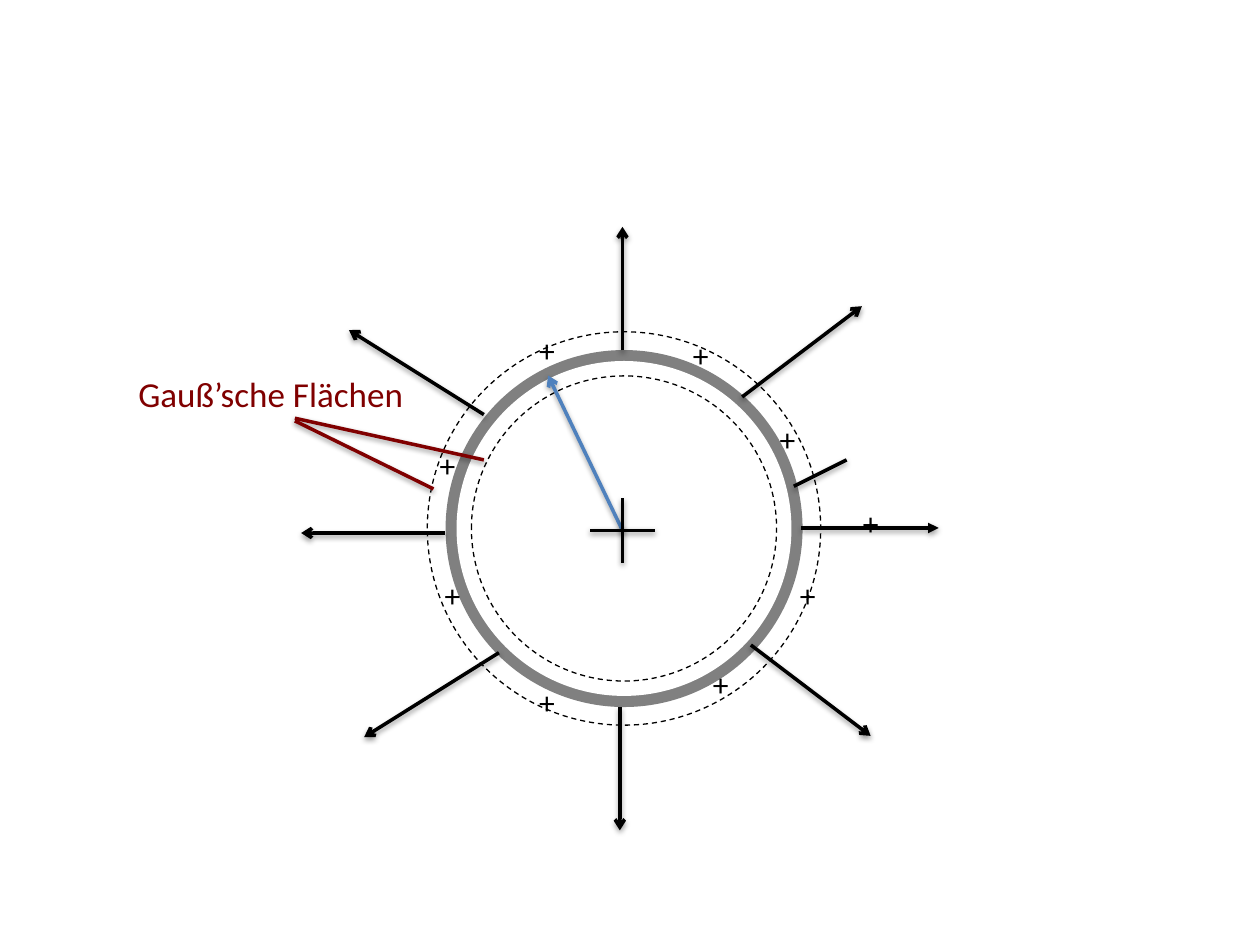
import pptx
import pptx.dml.color
import pptx.enum.dml
import pptx.enum.shapes
import pptx.enum.text
import pptx.oxml
import pptx.oxml.ns
import pptx.util
from pptx.util import Pt

COLORS = {"black": "000000", "white": "FFFFFF", "shell": "808080",
          "label": "800000", "radius": "4F81BD"}
COLORS = {name: pptx.dml.color.RGBColor.from_string(value) for name, value in COLORS.items()}

deck = pptx.Presentation()
deck.slide_width, deck.slide_height = Pt(720), Pt(540)
page = deck.slides.add_slide(deck.slide_layouts[6])


def add_line(start, end, color="black", head=None):
    line = page.shapes.add_connector(
        pptx.enum.shapes.MSO_CONNECTOR.STRAIGHT, *[Pt(value) for value in start + end])
    line.line.color.rgb = COLORS[color]
    line.line.width = Pt(2)
    if head:
        arrow = pptx.oxml.parse_xml(
            f'<a:tailEnd {pptx.oxml.ns.nsdecls("a")} type="{head}"/>')
        line.line._get_or_add_ln().append(arrow)
    shadow = pptx.oxml.parse_xml(
        f'<a:effectLst {pptx.oxml.ns.nsdecls("a")}>'
        '<a:outerShdw blurRad="40000" dist="20000" dir="5400000" rotWithShape="0">'
        '<a:srgbClr val="000000"><a:alpha val="38000"/></a:srgbClr>'
        '</a:outerShdw></a:effectLst>')
    line._element.spPr.append(shadow)


def add_text(left, top, width, height, text, size, color):
    box = page.shapes.add_textbox(Pt(left), Pt(top), Pt(width), Pt(height))
    box.text_frame.word_wrap = False
    box.text_frame.auto_size = pptx.enum.text.MSO_AUTO_SIZE.SHAPE_TO_FIT_TEXT
    para = box.text_frame.paragraphs[0]
    span = para.add_run()
    span.text = text
    span.font.name = "Calibri"
    span.font.size = Pt(size)
    span.font.color.rgb = COLORS[color]


center_x, center_y = 356.6, 302
for radius, fill in [(102, "shell"), (95.7, "white"), (112.4, None), (87.2, None)]:
    circle = page.shapes.add_shape(
        pptx.enum.shapes.MSO_SHAPE.OVAL, Pt(center_x - radius), Pt(center_y - radius),
        Pt(2 * radius), Pt(2 * radius))
    circle.shadow.inherit = False
    if fill:
        circle.fill.solid()
        circle.fill.fore_color.rgb = COLORS[fill]
        circle.line.fill.background()
    else:
        circle.fill.background()
        circle.line.color.rgb = COLORS["black"]
        circle.line.width = Pt(0.75)
        circle.line.dash_style = pptx.enum.dml.MSO_LINE.DASH

add_line((483.8, 262.8), (453.6, 277.9))

add_text(72, 209.5, 168.5, 31.7, "Gauß’sche Flächen", 20, "label")
for start, end in [((168.5, 239), (276.5, 262.8)), ((168.5, 240.5), (247.7, 279.4))]:
    add_line(start, end, "label")

field_lines = [
    ((457.9, 301.7), (536.4, 301.7), "triangle"),
    ((354.2, 403.9), (354.2, 474.5), "arrow"),
    ((429.1, 368.6), (497.5, 420.5), "arrow"),
    ((254.2, 304.6), (172.1, 304.6), "arrow"),
    ((285.1, 373), (208.1, 421.2), "arrow"),
    ((355.7, 200.2), (355.7, 129.6), "arrow"),
    ((424.1, 226.8), (492.5, 175), "arrow"),
    ((276.5, 236.9), (199.4, 188.6), "arrow"),
]
for start, end, head in field_lines:
    add_line(start, end, head=head)

charges = [(438.5, 236.2), (301, 185.8), (244.1, 251.3), (400.3, 376.6), (486, 284.4),
           (247, 325.4), (301, 386.6), (450, 325.4), (388.8, 188.6)]
for left, top in charges:
    add_text(left, top, 23.8, 28.8, "+", 18, "black")

origin_x, origin_y, arm = 355.7, 303.1, 18.5
add_line((origin_x, origin_y), (313.2, 214.6), "radius", "arrow")
add_line((origin_x, origin_y - arm), (origin_x, origin_y + arm))
add_line((origin_x + arm, origin_y), (origin_x - arm, origin_y))

deck.save("out.pptx")
